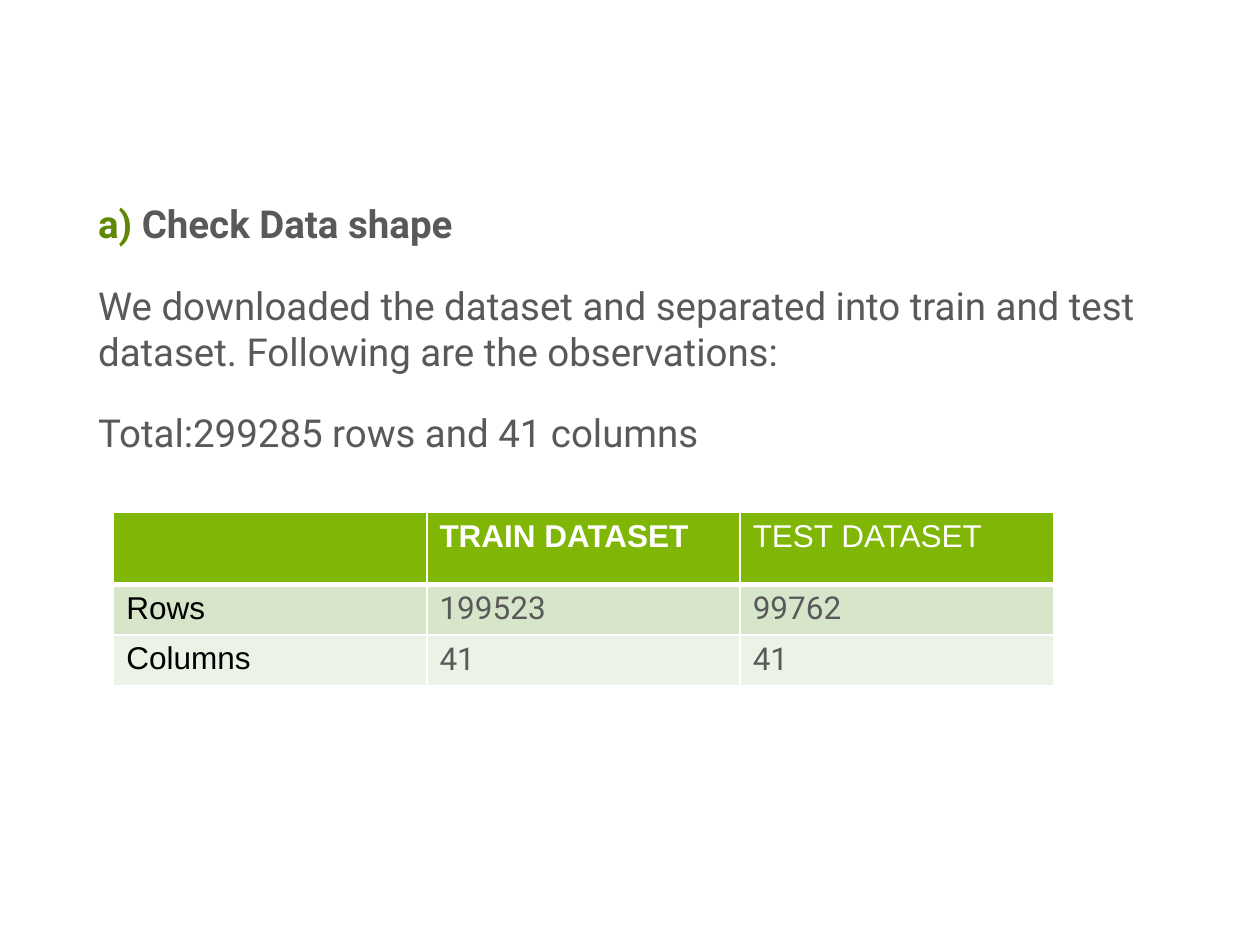
from dataclasses import dataclass

from lxml.etree import SubElement
from pptx import Presentation
from pptx.dml.color import RGBColor
from pptx.oxml.ns import qn
from pptx.util import Pt

GREEN, DARK_GREEN, GREY = "80B606", "608804", "595959"
WHITE, BLACK = "FFFFFF", "000000"
BAND_FILLS = ("D7E5CA", "ECF2E6")


@dataclass
class Span:
    text: str
    color: str = GREY
    bold: bool = False
    font: str = "Roboto"


def rgb(value: str) -> RGBColor:
    return RGBColor.from_string(value)


def add_run(p, span: Span, size: float) -> None:
    r = p.add_run()
    r.text = span.text
    r.font.name = span.font
    r.font.size = Pt(size)
    r.font.bold = span.bold
    r.font.color.rgb = rgb(span.color)


def add_border(cell, side: str, width: float) -> None:
    ln = SubElement(cell._tc.get_or_add_tcPr(), qn(f"a:ln{side}"), w=str(Pt(width)))
    fill = SubElement(ln, qn("a:solidFill"))
    SubElement(fill, qn("a:srgbClr"), val=WHITE)


def draw_cell(cell, span: Span, fill: str, top: float, bottom: float) -> None:
    # Borders come before the fill in the cell properties
    for side, width in (("L", 1), ("R", 1), ("T", top), ("B", bottom)):
        add_border(cell, side, width)
    cell.fill.solid()
    cell.fill.fore_color.rgb = rgb(fill)
    if span.text:
        add_run(cell.text_frame.paragraphs[0], span, 18)


def draw_body(s, paragraphs: list[list[Span]]) -> None:
    tf = s.shapes.add_textbox(Pt(49), Pt(111), Pt(648), Pt(394)).text_frame
    tf.word_wrap = True
    for i, spans in enumerate(paragraphs):
        p = tf.paragraphs[0] if i == 0 else tf.add_paragraph()
        if i:
            p.space_before = Pt(20)
        for span in spans:
            add_run(p, span, 22)


def draw_table(s, rows: list[list[Span]]) -> None:
    heights = (41, 28, 28)
    table = s.shapes.add_table(len(rows), len(rows[0]), Pt(65), Pt(293),
                               Pt(537), Pt(sum(heights))).table
    for row, height in zip(table.rows, heights):
        row.height = Pt(height)
    for i, spans in enumerate(rows):
        fill = BAND_FILLS[i - 1] if i else GREEN
        for j, span in enumerate(spans):
            draw_cell(table.cell(i, j), span, fill,
                      top=3 if i == 1 else 1, bottom=1 if i else 3)


def main() -> None:
    prs = Presentation()
    prs.slide_width, prs.slide_height = Pt(720), Pt(540)
    s = prs.slides.add_slide(prs.slide_layouts[6])

    # Heading and observations
    draw_body(s, [
        [Span("a) ", DARK_GREEN, True), Span("Check Data shape", bold=True)],
        [Span("We downloaded the dataset and separated into train and test "
              "dataset. Following are the observations:")],
        [Span("Total:299285 rows and 41 columns")],
    ])

    # Shape of each dataset
    draw_table(s, [
        [Span(""), Span("TRAIN DATASET", WHITE, True, "Arial"),
         Span("TEST DATASET", WHITE, font="Arial")],
        [Span("Rows", BLACK, font="Arial"), Span("199523"), Span("99762")],
        [Span("Columns", BLACK, font="Arial"), Span("41"), Span("41")],
    ])

    prs.save("out.pptx")


if __name__ == "__main__":
    main()
